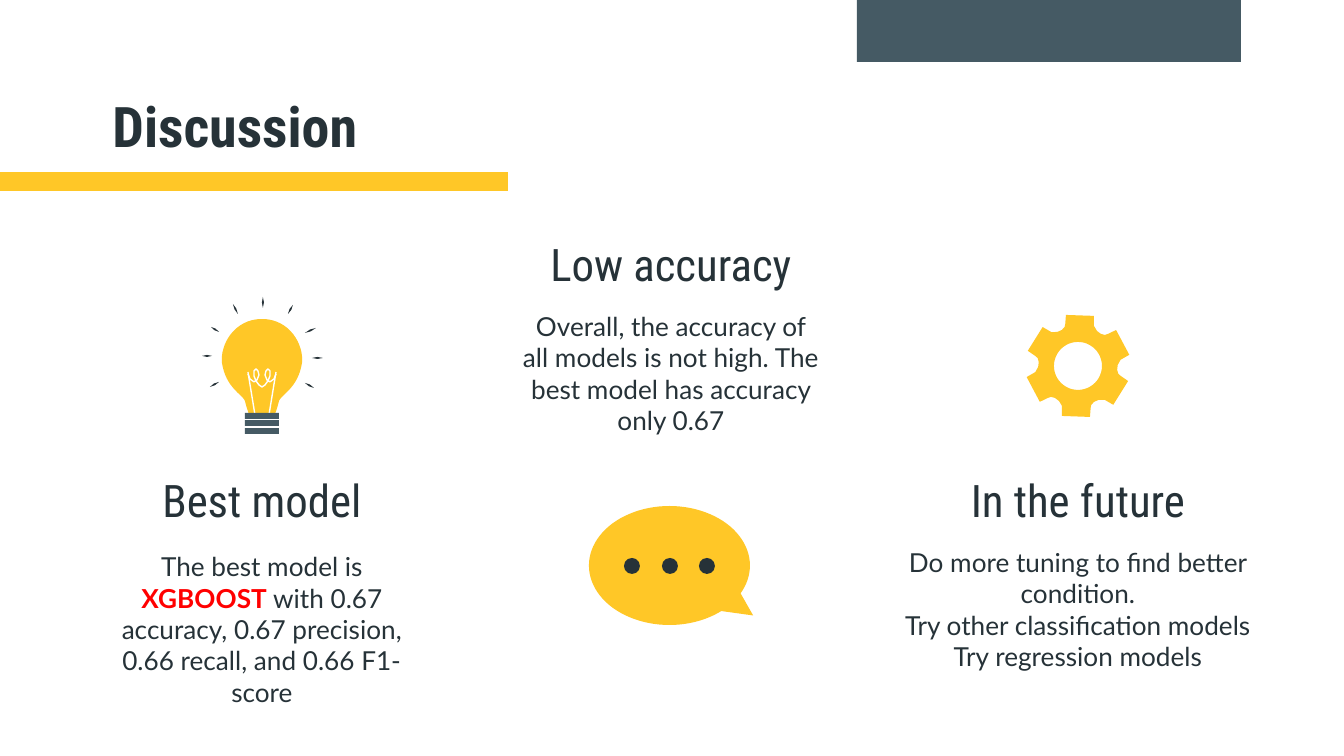
from dataclasses import dataclass
from math import cos, hypot, pi, sin

from lxml import etree
from pptx import Presentation
from pptx.dml.color import RGBColor
from pptx.enum.shapes import MSO_CONNECTOR, MSO_SHAPE
from pptx.enum.text import MSO_ANCHOR, MSO_AUTO_SIZE, PP_ALIGN
from pptx.oxml.ns import qn
from pptx.util import Pt

RECTANGLE, OVAL = MSO_SHAPE.RECTANGLE, MSO_SHAPE.OVAL
CALLOUT = MSO_SHAPE.OVAL_CALLOUT
STRAIGHT = MSO_CONNECTOR.STRAIGHT
TOP, MIDDLE = MSO_ANCHOR.TOP, MSO_ANCHOR.MIDDLE
LEFT, CENTER = PP_ALIGN.LEFT, PP_ALIGN.CENTER
NO_AUTOFIT = MSO_AUTO_SIZE.NONE


@dataclass(frozen=True)
class Theme:
    ink: RGBColor = RGBColor.from_string("263238")
    slate: RGBColor = RGBColor.from_string("455A64")
    yellow: RGBColor = RGBColor.from_string("FFC727")
    white: RGBColor = RGBColor.from_string("FFFFFF")
    red: RGBColor = RGBColor.from_string("FF0000")
    heading_font: str = "Roboto Condensed"
    body_font: str = "Lato"
    title_size: int = 30
    heading_size: int = 24
    body_size: int = 14
    filament_width: float = 0.75


THEME = Theme()
TITLE = "Discussion"
KEYWORD = "XGBOOST"
TOPICS = [
    {"heading": "Best model", "center": 262, "top": 460, "width": 325, "height": 180,
     "lines": ["The best model is XGBOOST with 0.67 accuracy, 0.67 precision, "
               "0.66 recall, and 0.66 F1-score"]},
    {"heading": "Low accuracy", "center": 671, "top": 224, "width": 325, "height": 140,
     "lines": ["Overall, the accuracy of all models is not high. "
               "The best model has accuracy only 0.67"]},
    {"heading": "In the future", "center": 1078, "top": 460, "width": 405, "height": 140,
     "lines": ["Do more tuning to find better condition.",
               "Try other classification models", "Try regression models"]},
]
HEADING_WIDTH, HEADING_HEIGHT = 325, 79

BULB_X = 262
BULB_CURVES = [
    [(262, 319), (234, 319), (220, 345), (222, 363)],
    [(222, 363), (226, 388), (242, 394), (245, 401)],
    [(245, 401), (246, 405), (247, 409), (249, 414)],
]
FILAMENT = [(248, 374), (250, 379), (254, 382), (257, 380), (259, 375), (258, 371),
            (256, 369), (254, 371), (254, 376), (256, 381), (259, 385), (262, 387)]
FILAMENT_POST = [(248, 372), (255, 415)]
RAYS = [
    [(263, 297), (263, 308)], [(233, 304), (238, 314)], [(211, 327), (219, 332)],
    [(202, 356), (212, 356)], [(219, 382), (210, 387)], [(305, 383), (314, 388)],
    [(312, 358), (323, 358)], [(305, 333), (316, 328)], [(293, 305), (288, 314)],
]
GEAR_CENTER, GEAR_HOLE, GEAR_TEETH = (1078, 366), 24, 6
TOOTH = [(-12, -51), (16, -50), (16, -40), (19, -35), (23, -32), (27, -31), (30, -32)]

SCALE = 914400 / 134.4


def emu(pixels):
    return round(pixels * SCALE)


def paint(shape, color):
    shape.shadow.inherit = False
    shape.fill.solid()
    shape.fill.fore_color.rgb = color
    shape.line.fill.background()


def add_preset(page, kind, area, color):
    shape = page.shapes.add_shape(kind, *map(emu, area))
    paint(shape, color)
    return shape


def add_outline(page, contours, closed=True):
    builder = None
    for contour in contours:
        start, *rest = [(emu(x), emu(y)) for x, y in contour]
        if builder is None:
            builder = page.shapes.build_freeform(*start, scale=1.0)
        else:
            builder.move_to(*start)
        builder.add_line_segments(rest, close=closed)
    return builder.convert_to_shape()


def place(box, area, anchor):
    box.left, box.top, box.width, box.height = map(emu, area)
    frame = box.text_frame
    frame.word_wrap = True
    frame.auto_size = NO_AUTOFIT
    frame.vertical_anchor = anchor
    frame.margin_left = frame.margin_right = Pt(7.2)
    frame.margin_top = frame.margin_bottom = Pt(7.2)


def write(box, lines, font, size, alignment=CENTER, bold=False):
    frame = box.text_frame
    for index, line in enumerate(lines):
        para = frame.add_paragraph() if index else frame.paragraphs[0]
        para.alignment = alignment
        para.space_before = Pt(0)
        para.font.name, para.font.size = font, Pt(size)
        para.font.bold, para.font.color.rgb = bold, THEME.ink
        properties = para._p.get_or_add_pPr()
        properties.set("marL", "0")
        properties.set("indent", "0")
        properties.insert_element_before(
            etree.Element(qn("a:buNone")), "a:tabLst", "a:defRPr", "a:extLst")
        before, keyword, after = line.partition(KEYWORD)
        for text in filter(None, (before, keyword, after)):
            span = para.add_run()
            span.text = text
            if text == KEYWORD:
                span.font.bold, span.font.color.rgb = True, THEME.red


def add_topic(page, topic, body):
    center, top, width = topic["center"], topic["top"], topic["width"]
    heading = page.shapes.add_textbox(0, 0, 0, 0)
    place(heading, (center - HEADING_WIDTH / 2, top, HEADING_WIDTH, HEADING_HEIGHT), MIDDLE)
    write(heading, [topic["heading"]], THEME.heading_font, THEME.heading_size)
    place(body, (center - width / 2, top + HEADING_HEIGHT, width, topic["height"]), MIDDLE)
    write(body, topic["lines"], THEME.body_font, THEME.body_size)


def bezier(points, steps=16):
    for step in range(steps + 1):
        t = step / steps
        weights = ((1 - t) ** 3, 3 * t * (1 - t) ** 2, 3 * t * t * (1 - t), t ** 3)
        yield tuple(sum(w * p[axis] for w, p in zip(weights, points)) for axis in (0, 1))


def mirror(points):
    return [(2 * BULB_X - x, y) for x, y in reversed(points)]


def draw_bulb(page):
    half = [point for curve in BULB_CURVES for point in bezier(curve)]
    paint(add_outline(page, [half + mirror(half)]), THEME.yellow)
    filament = add_outline(page, [FILAMENT + mirror(FILAMENT)[1:]], closed=False)
    filament.shadow.inherit = False
    filament.fill.background()
    posts = []
    for start, end in (FILAMENT_POST, mirror(FILAMENT_POST)):
        post = page.shapes.add_connector(STRAIGHT, *map(emu, start + end))
        etree.SubElement(post._element.spPr, qn("a:effectLst"))
        posts.append(post)
    for wire in (filament, *posts):
        wire.line.color.rgb = THEME.white
        wire.line.width = Pt(THEME.filament_width)
    for index in range(3):
        add_preset(page, RECTANGLE, (245, 413 + index * 15 // 2, 34, 6), THEME.slate)
    for (x1, y1), (x2, y2) in RAYS:
        length = hypot(x2 - x1, y2 - y1)
        dx, dy = (y1 - y2) / length, (x2 - x1) / length
        x, y = (x1 + x2) / 2, (y1 + y2) / 2
        leaf = [(x1, y1), (x + dx, y + dy), (x2, y2), (x - dx, y - dy)]
        paint(add_outline(page, [leaf]), THEME.ink)


def draw_bubble(page):
    bubble = add_preset(page, CALLOUT, (589, 506, 161, 119), THEME.yellow)
    bubble.adjustments[0], bubble.adjustments[1] = 0.52, 0.42
    for center in (632, 670, 707):
        add_preset(page, OVAL, (center - 8, 558, 16, 16), THEME.ink)


def turn(point, angle):
    (x, y), (center_x, center_y) = point, GEAR_CENTER
    return (center_x + x * cos(angle) - y * sin(angle),
            center_y + x * sin(angle) + y * cos(angle))


def draw_gear(page):
    rim = [turn(point, 2 * pi * tooth / GEAR_TEETH)
           for tooth in range(GEAR_TEETH) for point in TOOTH]
    hole = [turn((GEAR_HOLE, 0), -2 * pi * step / 48) for step in range(48)]
    paint(add_outline(page, [rim, hole]), THEME.yellow)


def main():
    deck = Presentation()
    deck.slide_width, deck.slide_height = emu(1344), emu(756)
    page = deck.slides.add_slide(deck.slide_layouts[1])
    title = page.shapes.title
    place(title, (99, 78, 1145, 95), TOP)
    write(title, [TITLE], THEME.heading_font, THEME.title_size, LEFT, True)
    for topic in TOPICS:
        is_list = len(topic["lines"]) > 1
        body = page.placeholders[1] if is_list else page.shapes.add_textbox(0, 0, 0, 0)
        add_topic(page, topic, body)
    add_preset(page, RECTANGLE, (0, 172, 508, 19), THEME.yellow)
    add_preset(page, RECTANGLE, (857, 0, 384, 62), THEME.slate)
    draw_bulb(page)
    draw_bubble(page)
    draw_gear(page)
    deck.save("out.pptx")


if __name__ == "__main__":
    main()
